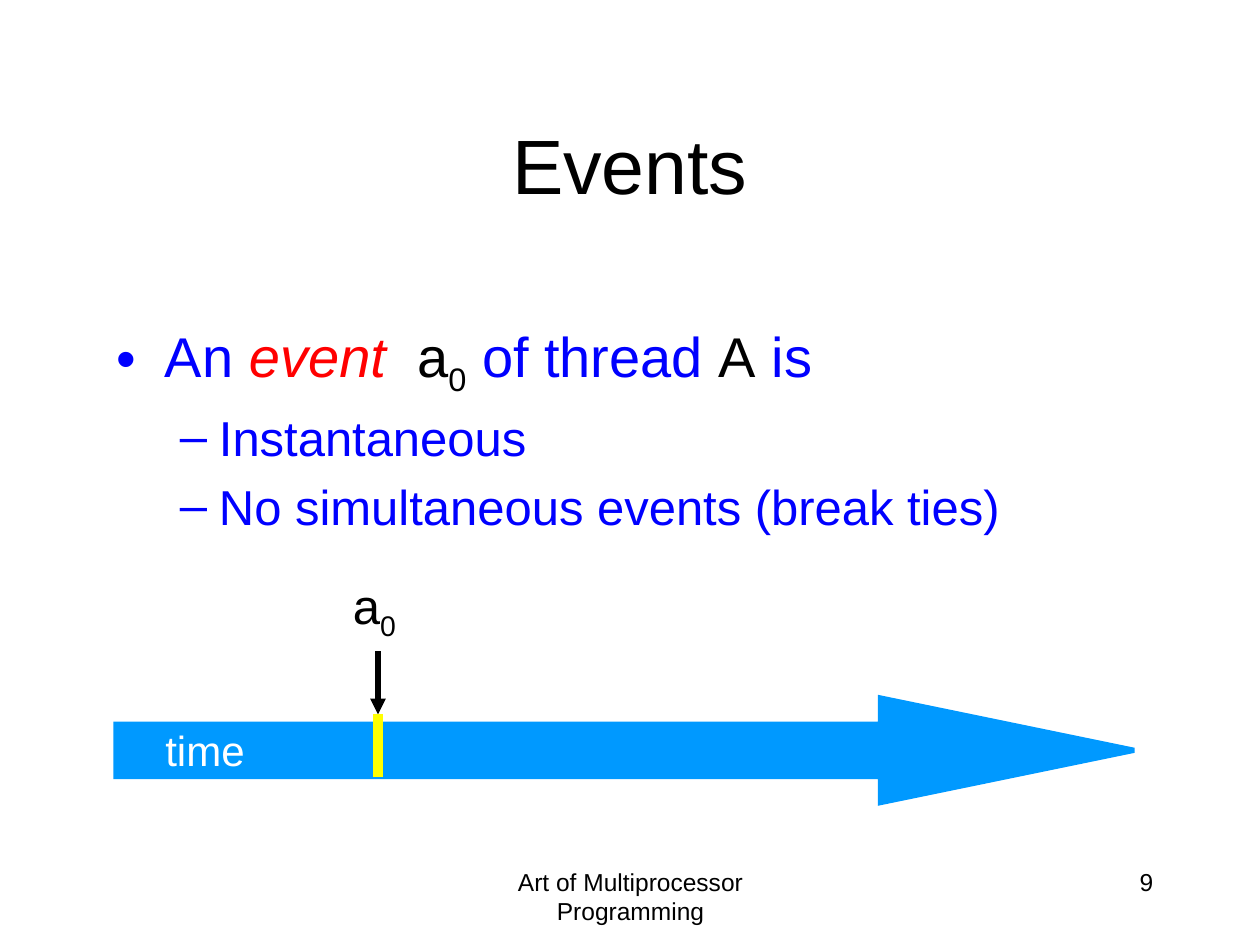
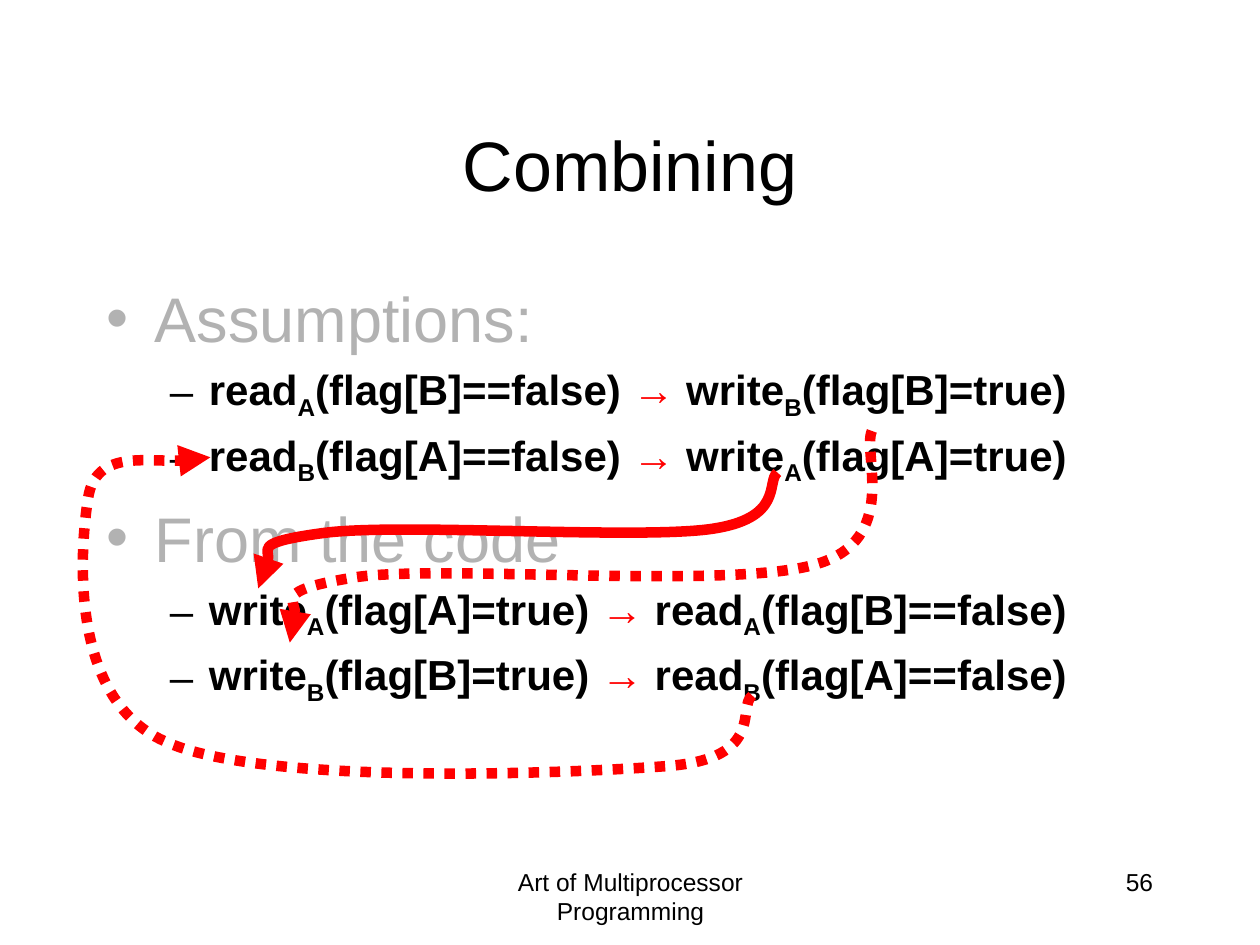
from lxml.etree import SubElement
from pptx import Presentation
from pptx.dml.color import RGBColor
from pptx.enum.dml import MSO_LINE
from pptx.enum.shapes import MSO_CONNECTOR, MSO_SHAPE
from pptx.enum.text import MSO_ANCHOR, PP_ALIGN
from pptx.oxml.ns import qn
from pptx.util import Inches, Pt

COLORS = {
    "black": "000000", "white": "FFFFFF", "blue": "0000FF", "red": "FF0000",
    "yellow": "FFFF00", "sky": "0099FF", "gray": "B2B2B2",
}
FONT = "Arial"
# Bullet, left indent and hanging indent for each level
LEVELS = [("•", 0.38, 0.38), ("–", 0.81, 0.31)]


def color(name):
    return RGBColor.from_string(COLORS[name])


def add_span(para, text, size, tint="black", bold=False, italic=False, sub=False):
    span = para.add_run()
    span.text = text
    font = span.font
    font.name, font.size = FONT, Pt(size)
    font.bold, font.italic = bold, italic
    font.color.rgb = color(tint)
    if sub:
        span._r.get_or_add_rPr().set("baseline", "-25000")


def add_box(page, left, top, width, height, wrap=True, anchor=MSO_ANCHOR.TOP):
    box = page.shapes.add_textbox(Inches(left), Inches(top), Inches(width), Inches(height))
    box.text_frame.word_wrap = wrap
    box.text_frame.vertical_anchor = anchor
    return box.text_frame


def add_text(page, place, text, size, align=PP_ALIGN.LEFT, tint="black", sub="", **box_format):
    para = add_box(page, *place, **box_format).paragraphs[0]
    para.alignment = align
    add_span(para, text, size, tint)
    if sub:
        add_span(para, sub, size, tint, sub=True)


def add_bullets(page, place, items):
    """Each item is (level, size, spans); a span is (text, format)."""
    frame = add_box(page, *place)
    for index, (level, size, spans) in enumerate(items):
        para = frame.add_paragraph() if index else frame.paragraphs[0]
        para.level = level
        para.space_before = Pt(size / 5 if index else 0)
        mark, indent, hanging = LEVELS[level]
        properties = para._p.get_or_add_pPr()
        properties.set("marL", str(Inches(indent)))
        properties.set("indent", str(-Inches(hanging)))
        SubElement(properties, qn("a:buFont"), typeface=FONT)
        SubElement(properties, qn("a:buChar"), char=mark)
        for text, span_format in spans:
            add_span(para, text, size, **span_format)


def style_line(line, tint, width, arrow=False, dotted=False, miter=False):
    line.color.rgb = color(tint)
    line.width = Pt(width)
    if dotted:
        line.dash_style = MSO_LINE.ROUND_DOT
    if miter:
        SubElement(line._get_or_add_ln(), qn("a:miter"), lim="800000")
    if arrow:
        SubElement(line._get_or_add_ln(), qn("a:tailEnd"), type="triangle")


def add_line(page, start, end, tint, width, arrow=False):
    line = page.shapes.add_connector(
        MSO_CONNECTOR.STRAIGHT, *(Inches(value) for value in (*start, *end)))
    style_line(line.line, tint, width, arrow)
    SubElement(line._element.spPr, qn("a:effectLst"))


def bend_segments(shape):
    """Turn every three straight segments into one cubic curve."""
    outline = next(shape._element.iter(qn("a:path")))
    segments = outline.findall(qn("a:lnTo"))
    for first in range(0, len(segments), 3):
        curve = SubElement(outline, qn("a:cubicBezTo"))
        for segment in segments[first:first + 3]:
            curve.append(segment[0])
            outline.remove(segment)


def add_curved_arrow(page, start, *points, dotted=True):
    """Points come in threes: two controls and an end for each curve."""
    builder = page.shapes.build_freeform(Inches(start[0]), Inches(start[1]))
    builder.add_line_segments([(Inches(x), Inches(y)) for x, y in points], close=False)
    arrow = builder.convert_to_shape()
    bend_segments(arrow)
    arrow.shadow.inherit = False
    arrow.fill.background()
    style_line(arrow.line, "red", 6, arrow=True, dotted=dotted)


def add_page(deck, title, title_size, number):
    page = deck.slides.add_slide(deck.slide_layouts[6])
    add_text(page, (3.42, 6.83, 3.17, 0.5), "Art of Multiprocessor Programming", 14,
             PP_ALIGN.CENTER)
    add_text(page, (7.17, 6.83, 2.08, 0.5), str(number), 14, PP_ALIGN.RIGHT)
    add_text(page, (0.75, 0.67, 8.5, 1.25), title, title_size, PP_ALIGN.CENTER,
             anchor=MSO_ANCHOR.MIDDLE)
    return page


def add_time_arrow(page):
    group = page.shapes.add_group_shape()
    arrow = group.shapes.add_shape(
        MSO_SHAPE.RIGHT_ARROW, Inches(0.92), Inches(5.54), Inches(8.08), Inches(0.83))
    arrow.adjustments[0], arrow.adjustments[1] = 0.5, 2.425
    arrow.shadow.inherit = False
    arrow.fill.solid()
    arrow.fill.fore_color.rgb = color("sky")
    style_line(arrow.line, "sky", 3, miter=True)
    add_text(group, (1.2, 5.7, 0.84, 0.51), "time", 24, PP_ALIGN.RIGHT, "white", wrap=False)


def order_item(before, after):
    """A line saying that one flag access, (action, thread, flag), precedes another."""
    def access(lead, action, thread, flag, tail=""):
        return [(lead + action, {"bold": True}),
                (thread, {"bold": True, "sub": True}),
                (f"({flag}){tail}", {"bold": True})]
    arrow = [("→", {"bold": True, "tint": "red"})]
    return 1, 24, access("", *before, tail=" ") + arrow + access(" ", *after)


def build_events(deck):
    page = add_page(deck, "Events", 44, 9)
    add_time_arrow(page)
    blue = {"tint": "blue"}
    add_bullets(page, (0.83, 2.5, 8.5, 3.58), [
        (0, 32, [("An ", blue), ("event  ", {"tint": "red", "italic": True}), ("a", {}),
                 ("0", {"sub": True}), (" of thread ", blue), ("A", {}), (" is", blue)]),
        (1, 28, [("Instantaneous", blue)]),
        (1, 28, [("No simultaneous events (break ties)", blue)]),
    ])
    # Event mark on the time line
    add_line(page, (3, 5.17), (3, 5.67), "black", 3, arrow=True)
    add_line(page, (3, 5.67), (3, 6.17), "yellow", 6)
    add_text(page, (2.66, 4.52, 0.58, 0.57), "a", 28, PP_ALIGN.RIGHT, sub="0", wrap=False)


def build_combining(deck):
    page = add_page(deck, "Combining", 40, 56)
    read_a = ("read", "A", "flag[B]==false")
    read_b = ("read", "B", "flag[A]==false")
    write_a = ("write", "A", "flag[A]=true")
    write_b = ("write", "B", "flag[B]=true")
    gray = {"tint": "gray"}
    add_bullets(page, (0.75, 2.17, 8.5, 4.5), [
        (0, 36, [("Assumptions:", gray)]),
        order_item(read_a, write_b),
        order_item(read_b, write_a),
        (0, 36, [("From the code", gray)]),
        order_item(write_a, read_a),
        order_item(write_b, read_b),
    ])
    # Links between matching accesses
    add_curved_arrow(
        page, (5.97, 5.52),
        (5.85, 5.61), (6.08, 6.02), (5.3, 6.08),
        (4.52, 6.14), (2.06, 6.24), (1.3, 5.88),
        (0.53, 5.53), (0.64, 4.32), (0.7, 3.95),
        (0.76, 3.57), (1.47, 3.7), (1.67, 3.63))
    add_curved_arrow(
        page, (6.92, 3.42),
        (6.84, 3.59), (7.15, 4.29), (6.47, 4.48),
        (5.79, 4.68), (3.53, 4.48), (2.83, 4.58),
        (2.14, 4.69), (2.41, 4.99), (2.3, 5.1))
    add_curved_arrow(
        page, (6.17, 3.75),
        (6.08, 3.82), (6.23, 4.12), (5.63, 4.2),
        (5.03, 4.28), (3.16, 4.15), (2.57, 4.23),
        (1.97, 4.31), (2.16, 4.58), (2.05, 4.67), dotted=False)


def main():
    deck = Presentation()
    deck.slide_width, deck.slide_height = Inches(10), Inches(7.5)
    build_events(deck)
    build_combining(deck)
    deck.save("out.pptx")


if __name__ == "__main__":
    main()
